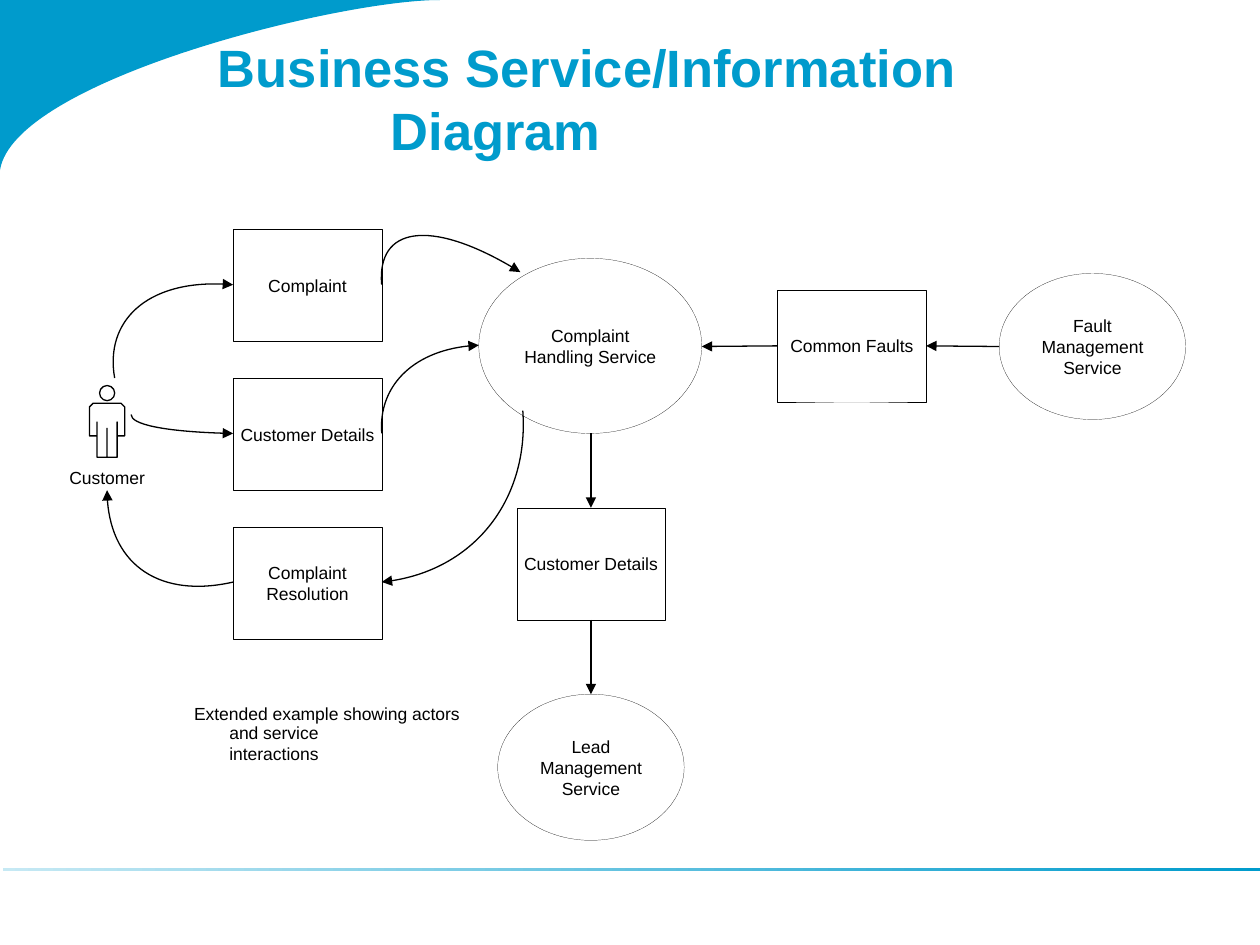
import dataclasses

import lxml.etree
import pptx
import pptx.dml.color
import pptx.enum.shapes
import pptx.enum.text
import pptx.oxml.ns
import pptx.util

Inches = pptx.util.Inches
Shape = pptx.enum.shapes.MSO_SHAPE
Align = pptx.enum.text.PP_ALIGN
Anchor = pptx.enum.text.MSO_ANCHOR
qn = pptx.oxml.ns.qn


@dataclasses.dataclass(frozen=True)
class Theme:
    """Colours, font, type sizes and line widths."""
    blue: str = "009BCC"
    pale: str = "C6E9F4"
    ink: str = "000000"
    paper: str = "FFFFFF"
    font: str = "Arial"
    head: float = 30
    lead: float = 36
    text: float = 10
    thin: float = 0.11
    line: float = 0.75


@dataclasses.dataclass(frozen=True)
class Box:
    """A region in inches."""
    x: float
    y: float
    w: float
    h: float

    def sub(self, x, y, w, h):
        """Return a box offset from this one."""
        return Box(self.x + x, self.y + y, w, h)

    def emu(self):
        """Return left, top, width and height as lengths."""
        return [Inches(v) for v in (self.x, self.y, self.w, self.h)]


LOOK = Theme()


def tint(name):
    """Turn a hex name into a colour."""
    return pptx.dml.color.RGBColor.from_string(name)


def style(shape, fill=None, line=None, width=LOOK.line):
    """Set the fill and line, and drop the shadow."""
    shape.shadow.inherit = False
    if fill:
        shape.fill.solid()
        shape.fill.fore_color.rgb = tint(fill)
    else:
        shape.fill.background()
    if line:
        shape.line.color.rgb = tint(line)
        shape.line.width = pptx.util.Pt(width)
    else:
        shape.line.fill.background()


def write(frame, text, size=LOOK.text, color=LOOK.ink, bold=False, align=Align.CENTER):
    """Write one run in the first paragraph and return the paragraph."""
    para = frame.paragraphs[0]
    para.alignment = align
    run = para.add_run()
    run.text = text
    run.font.name = LOOK.font
    run.font.size = pptx.util.Pt(size)
    run.font.bold = bold
    run.font.color.rgb = tint(color)
    return para


def inset(frame, left, top, right, low):
    """Set the margins of a text frame."""
    frame.margin_left, frame.margin_top = Inches(left), Inches(top)
    frame.margin_right, frame.margin_bottom = Inches(right), Inches(low)


def point(cubic, t):
    """Return the point at t on a cubic curve."""
    parts = ((1 - t) ** 3, 3 * t * (1 - t) ** 2, 3 * t * t * (1 - t), t ** 3)
    return tuple(sum(k * p[i] for k, p in zip(parts, cubic)) for i in (0, 1))


def bend(slide, box, cubic, corner=None):
    """Draw a cubic curve, closed through a corner if one is given."""
    cubic = [(Inches(box.x + x), Inches(box.y + y)) for x, y in cubic]
    spots = [point(cubic, n / 40) for n in range(41)]
    if corner:
        spots.append((Inches(box.x + corner[0]), Inches(box.y + corner[1])))
    pen = slide.shapes.build_freeform(*spots[0])
    pen.add_line_segments(spots[1:], close=bool(corner))
    shape = pen.convert_to_shape()
    track = shape._element.find(".//" + qn("a:path"))
    steps = track.findall(qn("a:lnTo"))
    curve = lxml.etree.Element(qn("a:cubicBezTo"))
    for x, y in cubic[1:]:
        lxml.etree.SubElement(curve, qn("a:pt"), x=str(x - shape.left), y=str(y - shape.top))
    steps[0].addprevious(curve)
    for step in steps[:40]:
        track.remove(step)
    return shape


def arrow(shape):
    """Put an arrowhead at the end of a line."""
    lxml.etree.SubElement(shape.line._get_or_add_ln(), qn("a:tailEnd"), type="triangle", w="med", len="med")


def link(slide, box, start, end, first=None, last=None):
    """Draw a straight arrow, joined to a node's side where one is given."""
    ends = [Inches(v) for v in (box.x + start[0], box.y + start[1], box.x + end[0], box.y + end[1])]
    line = slide.shapes.add_connector(pptx.enum.shapes.MSO_CONNECTOR.STRAIGHT, *ends)
    line.line.color.rgb = tint(LOOK.ink)
    line.line.width = pptx.util.Pt(LOOK.line)
    arrow(line)
    lxml.etree.SubElement(line._element.spPr, qn("a:effectLst"))
    if first:
        line.begin_connect(*first)
    if last:
        line.end_connect(*last)


def node(slide, box, text, kind=Shape.RECTANGLE):
    """Draw an outlined shape with centred text."""
    shape = slide.shapes.add_shape(kind, *box.emu())
    style(shape, LOOK.paper, LOOK.ink, LOOK.thin)
    frame = shape.text_frame
    frame.word_wrap = True
    frame.vertical_anchor = Anchor.MIDDLE
    inset(frame, 0.04, 0.04, 0.04, 0.04)
    write(frame, text)
    return shape


def label(slide, box, text, align=Align.LEFT):
    """Place a line of plain text."""
    frame = slide.shapes.add_textbox(*box.emu()).text_frame
    frame.word_wrap = False
    inset(frame, 0, 0, 0, 0)
    write(frame, text, align=align)


def decor(slide, box):
    """Draw the corner sweep and the bottom rule."""
    sweep = bend(slide, box, [(0, 1.35), (0.11, 0.64), (2.68, 0), (3.49, 0)], (0, 0))
    style(sweep, LOOK.blue)
    rule = slide.shapes.add_shape(Shape.RECTANGLE, *box.sub(0.02, 6.89, box.w - 0.02, 0.02).emu())
    style(rule)
    rule.fill.gradient()
    rule.fill.gradient_angle = 0
    for stop, color in zip(rule.fill.gradient_stops, (LOOK.pale, LOOK.blue)):
        stop.color.rgb = tint(color)


def title(slide, box, text):
    """Format the title with a hanging indent."""
    shape = slide.shapes.title
    shape.left, shape.top, shape.width, shape.height = box.emu()
    frame = shape.text_frame
    frame.word_wrap = True
    frame.auto_size = pptx.enum.text.MSO_AUTO_SIZE.NONE
    frame.vertical_anchor = Anchor.TOP
    inset(frame, 0.08, 0.28, 0.08, 0.04)
    para = write(frame, text, LOOK.head, LOOK.blue, True, Align.LEFT)
    para.line_spacing = pptx.util.Pt(LOOK.lead)
    props = para._p.get_or_add_pPr()
    props.set("marL", str(Inches(1.37)))
    props.set("indent", str(-Inches(1.37)))


def actor(slide, box):
    """Draw the customer figure."""
    half = [(0.14, 0.34), (0.14, 0.57), (0.06, 0.57), (0.06, 0.29), (0.06, 0.4),
            (0, 0.4), (0, 0.17), (0.03, 0.14)]
    body = half + [(box.w - x, y) for x, y in reversed(half)]
    spots = [(Inches(box.x + x), Inches(box.y + y)) for x, y in body]
    pen = slide.shapes.build_freeform(*spots[0])
    pen.add_line_segments(spots[1:])
    head = slide.shapes.add_shape(Shape.OVAL, *box.sub(0.08, 0, 0.12, 0.12).emu())
    for shape in (pen.convert_to_shape(), head):
        style(shape, LOOK.paper, LOOK.ink)


def flow(slide, box):
    """Draw the services, their messages and the arrows between them."""
    for row, text in enumerate(("Complaint", "Customer Details", "Complaint Resolution")):
        node(slide, box.sub(1.35, 0.32 + 1.18 * row, 1.18, 0.89), text)
    detail = node(slide, box.sub(3.6, 2.53, 1.18, 0.89), "Customer Details")
    fault = node(slide, box.sub(5.67, 0.8, 1.18, 0.89), "Common Faults")
    for place, text in (((3.3, 0.55, 1.77, 1.39), "Complaint Handling Service"),
                        ((3.45, 4.01, 1.48, 1.16), "Lead Management Service"),
                        ((7.43, 0.67, 1.48, 1.16), "Fault Management Service")):
        node(slide, box.sub(*place), text, Shape.OVAL)
    link(slide, box, (7.43, 1.25), (6.85, 1.25), last=(fault, 3))
    link(slide, box, (5.67, 1.25), (5.07, 1.25), first=(fault, 1))
    link(slide, box, (4.19, 1.94), (4.19, 2.53), last=(detail, 0))
    link(slide, box, (4.19, 3.42), (4.19, 4.01), first=(detail, 2))
    for cubic in ([(2.53, 0.76), (2.49, 0.3), (2.94, 0.23), (3.63, 0.66)],
                  [(2.53, 1.94), (2.5, 1.58), (2.79, 1.26), (3.3, 1.24)],
                  [(3.65, 1.76), (3.7, 2.45), (3.25, 3.05), (2.53, 3.12)],
                  [(0.41, 1.5), (0.33, 1.05), (0.69, 0.7), (1.35, 0.76)],
                  [(0.54, 1.79), (0.54, 1.87), (0.84, 1.93), (1.35, 1.94)],
                  [(1.35, 3.12), (0.78, 3.25), (0.35, 2.97), (0.35, 2.39)]):
        curve = bend(slide, box, cubic)
        style(curve, line=LOOK.ink)
        arrow(curve)
    actor(slide, box.sub(0.21, 1.56, 0.28, 0.57))
    label(slide, box.sub(0.05, 2.21, 0.6, 0.17), "Customer", Align.CENTER)
    label(slide, box.sub(1.04, 4.08, 2.15, 0.17), "Extended example showing actors")
    label(slide, box.sub(1.32, 4.23, 1.45, 0.17), "and service interactions")


def main():
    """Build and save the slide."""
    deck = pptx.Presentation()
    deck.slide_width, deck.slide_height = Inches(10), Inches(7.5)
    slide = deck.slides.add_slide(deck.slide_layouts[5])
    decor(slide, Box(0, 0, 10, 7.5))
    title(slide, Box(1.65, 0, 7.01, 1.47), "Business Service/Information Diagram")
    flow(slide, Box(0.5, 1.5, 9, 5.25))
    deck.save("out.pptx")


if __name__ == "__main__":
    main()
